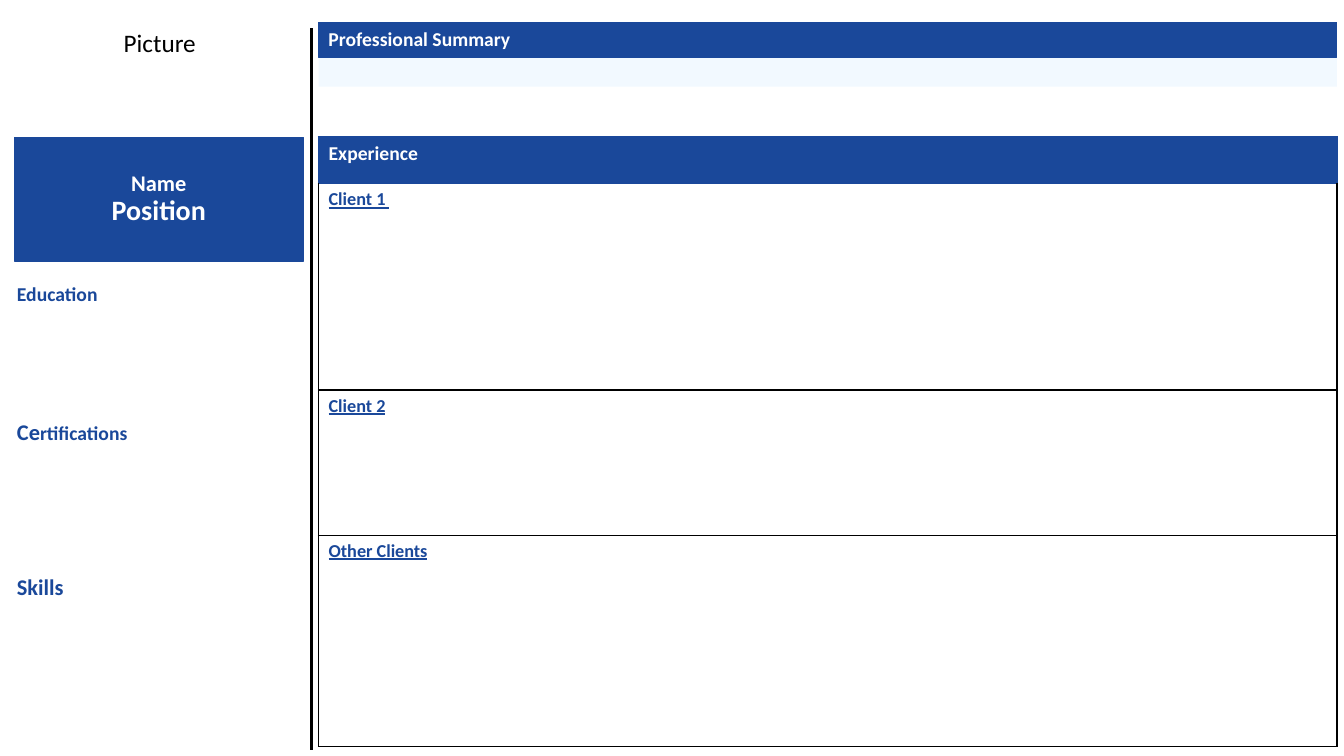
from dataclasses import dataclass

from lxml import etree
from pptx import Presentation
from pptx.dml.color import RGBColor
from pptx.enum import shapes, text
from pptx.oxml import ns
from pptx.util import Inches, Pt


@dataclass(frozen=True)
class Theme:
    font: str = "Calibri"
    blue: str = "1A489A"
    pale: str = "F2F9FF"
    white: str = "FFFFFF"
    black: str = "000000"
    small: int = 13
    body: int = 14
    large: int = 16
    label: int = 18
    role: int = 20


THEME = Theme()
LEFT, MAIN, WIDE = 0.07, 3.16, 10.1


def rgb(code):
    return RGBColor.from_string(code)


def box(at):
    return [Inches(n) for n in at]


def add_run(para, words, size, color, bold=True, under=None):
    run = para.add_run()
    run.text = words
    font = run.font
    font.name, font.size, font.bold = THEME.font, Pt(size), bold
    font.underline = under
    font.color.rgb = rgb(color)


def paint(shape, fill, edge=None):
    shape.fill.solid()
    shape.fill.fore_color.rgb = rgb(fill)
    if edge:
        shape.line.color.rgb = rgb(edge)
        shape.line.width = Pt(0.75)
    else:
        shape.line.fill.background()


def add_name(slide, at, lines):
    """Fill the title with a name and a position."""
    title = slide.shapes.title
    title.left, title.top, title.width, title.height = box(at)
    paint(title, THEME.blue, THEME.blue)
    frame = title.text_frame
    frame.auto_size = text.MSO_AUTO_SIZE.NONE
    frame.vertical_anchor = text.MSO_ANCHOR.MIDDLE
    for i, (words, size) in enumerate(lines):
        para = frame.add_paragraph() if i else frame.paragraphs[0]
        para.alignment = text.PP_ALIGN.CENTER
        para.line_spacing = 0.9
        add_run(para, words, size, THEME.white)


def add_bar(slide, at, fill, edge=None, words=None):
    bar = slide.shapes.add_shape(shapes.MSO_SHAPE.RECTANGLE, *box(at))
    bar.shadow.inherit = False
    paint(bar, fill, edge)
    if words:
        bar.text_frame.vertical_anchor = text.MSO_ANCHOR.MIDDLE
        para = bar.text_frame.paragraphs[0]
        para.alignment = text.PP_ALIGN.LEFT
        para.line_spacing = 0.9
        add_run(para, words, THEME.body, THEME.white)


def add_label(slide, at, runs, color=THEME.blue, bold=True,
              align=text.PP_ALIGN.LEFT, space=1.0):
    frame = slide.shapes.add_textbox(*box(at)).text_frame
    frame.word_wrap = True
    para = frame.paragraphs[0]
    para.alignment, para.line_spacing = align, space
    for words, size in runs:
        add_run(para, words, size, color, bold)


def add_rule(slide, x, top, end):
    rule = slide.shapes.add_connector(
        shapes.MSO_CONNECTOR.STRAIGHT, *box((x, top, x, end)))
    rule.line.color.rgb = rgb(THEME.black)
    rule.line.width = Pt(1.5)
    etree.SubElement(rule._element.spPr, ns.qn("a:effectLst"))


def set_edges(cell, color):
    props = cell._tc.get_or_add_tcPr()
    for i, side in enumerate(("lnL", "lnR", "lnT", "lnB")):
        line = etree.Element(ns.qn("a:" + side), w=str(Pt(1)))
        fill = etree.SubElement(line, ns.qn("a:solidFill"))
        etree.SubElement(fill, ns.qn("a:srgbClr"), val=color)
        props.insert(i, line)


def add_jobs(slide, at, rows):
    """Draw a blue heading row above one bordered row per client."""
    table = slide.shapes.add_table(len(rows), 1, *box(at)).table
    table.horz_banding = False
    for i, (words, height) in enumerate(rows):
        table.rows[i].height = Inches(height)
        cell = table.cell(i, 0)
        cell.fill.solid()
        para = cell.text_frame.paragraphs[0]
        if i == 0:
            cell.fill.fore_color.rgb = rgb(THEME.blue)
            add_run(para, words, THEME.body, THEME.white)
            set_edges(cell, THEME.blue)
        else:
            cell.fill.fore_color.rgb = rgb(THEME.white)
            para.space_after = Pt(3)
            add_run(para, words, THEME.small, THEME.blue, under=True)
            set_edges(cell, THEME.black)
    # The heading and the first client share an edge
    edge = table.cell(1, 0)._tc.tcPr.find(ns.qn("a:lnT"))
    edge.find(".//" + ns.qn("a:srgbClr")).set("val", THEME.blue)


def main():
    deck = Presentation()
    deck.slide_width, deck.slide_height = Inches(13.33), Inches(7.5)
    slide = deck.slides.add_slide(deck.slide_layouts[5])

    # Profile column
    add_name(slide, (0.14, 1.36, 2.87, 1.23),
             [("Name", THEME.large), ("Position", THEME.role)])
    add_label(slide, (0.37, 0.22, 2.43, 0.4), [("Picture", THEME.label)],
              THEME.black, False, text.PP_ALIGN.CENTER)
    add_label(slide, (LEFT, 2.63, 2.87, 1.48),
              [("Education", THEME.body)], space=1.5)
    add_label(slide, (LEFT, 4.1, 2.87, 1.45),
              [("Ce", THEME.large), ("rtifications", THEME.body)])
    add_label(slide, (LEFT, 5.64, 2.87, 1.45), [("Skills", THEME.large)])

    # Divider
    add_rule(slide, 3.09, 0.28, 7.44)

    # Summary and experience
    add_bar(slide, (MAIN, 0.56, WIDE, 0.3), THEME.pale)
    add_bar(slide, (MAIN, 0.22, WIDE, 0.35), THEME.blue, THEME.blue,
            "Professional Summary")
    add_jobs(slide, (MAIN, 1.36, WIDE, 6.05),
             [("Experience", 0.46), ("Client 1 ", 2.05),
              ("Client 2", 1.44), ("Other Clients", 2.1)])

    deck.save("out.pptx")


if __name__ == "__main__":
    main()
